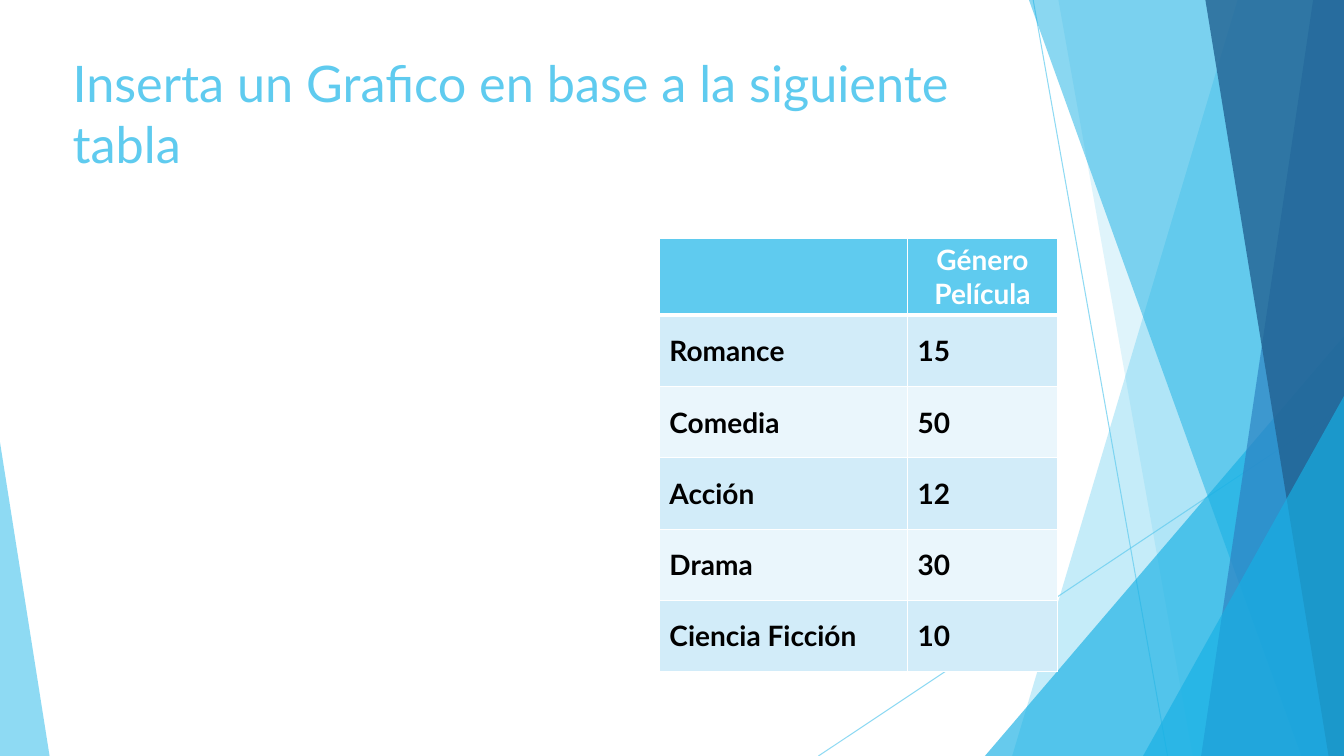
from lxml.etree import SubElement
from pptx import Presentation
from pptx.dml.color import RGBColor
from pptx.enum.shapes import MSO_CONNECTOR, MSO_SHAPE
from pptx.enum.text import MSO_ANCHOR, PP_ALIGN
from pptx.oxml.ns import qn
from pptx.util import Pt

WIDTH, HEIGHT = 960, 540
SKY = RGBColor(0x5F, 0xCB, 0xEF)
CYAN = RGBColor(0x17, 0xB0, 0xE4)
BLUE = RGBColor(0x2E, 0x83, 0xC3)
NAVY = RGBColor(0x22, 0x62, 0x92)
PALE = RGBColor(0xD2, 0xEC, 0xF9)
PALER = RGBColor(0xEA, 0xF6, 0xFC)
WHITE = RGBColor(0xFF, 0xFF, 0xFF)
BLACK = RGBColor(0, 0, 0)
FONT = "Lato"

TITLE = "Inserta un Grafico en base a la siguiente tabla"
ROWS = [
    ("", "Género Película"),
    ("Romance", "15"),
    ("Comedia", "50"),
    ("Acción", "12"),
    ("Drama", "30"),
    ("Ciencia Ficción", "10"),
]


def set_opacity(properties, percent):
    """Apply opacity to the solid colour inside the given XML element."""
    color = next(properties.iter(qn("a:srgbClr")))
    SubElement(color, qn("a:alpha"), val=str(percent * 1000))


def paint(shape, color, opacity):
    shape.shadow.inherit = False
    shape.line.fill.background()
    shape.fill.solid()
    shape.fill.fore_color.rgb = color
    set_opacity(shape.fill._xPr, opacity)


def add_thin_line(slide, start, end):
    connector = slide.shapes.add_connector(
        MSO_CONNECTOR.STRAIGHT, *(Pt(value) for value in start + end))
    connector.line.color.rgb = SKY
    connector.line.width = Pt(0.75)
    properties = connector._element.spPr
    set_opacity(properties, 70)
    SubElement(properties, qn("a:effectLst"))


def add_band(slide, top_left, bottom_left, color, opacity):
    """Fill from a slanted left edge to the right side of the slide."""
    builder = slide.shapes.build_freeform(Pt(top_left), Pt(0))
    builder.add_line_segments([
        (Pt(WIDTH), Pt(0)), (Pt(WIDTH), Pt(HEIGHT)), (Pt(bottom_left), Pt(HEIGHT))])
    paint(builder.convert_to_shape(), color, opacity)


def add_corner(slide, left, top, width, apex, color, opacity):
    """Add a triangle that stands on the bottom edge of the slide."""
    triangle = slide.shapes.add_shape(
        MSO_SHAPE.ISOSCELES_TRIANGLE, Pt(left), Pt(top), Pt(width), Pt(HEIGHT - top))
    triangle.adjustments[0] = apex
    paint(triangle, color, opacity)


def add_background(slide):
    add_thin_line(slide, (738, 0), (834, HEIGHT))
    add_thin_line(slide, (WIDTH, 290), (584.6, HEIGHT))
    add_band(slide, 884, 723, SKY, 36)
    add_band(slide, 756, 852, SKY, 20)
    add_corner(slide, 703.5, 240, WIDTH - 703.5, 1, CYAN, 66)
    add_band(slide, 735, 929.5, CYAN, 50)
    add_band(slide, 938, 858, BLUE, 70)
    add_band(slide, 861, 949, NAVY, 80)
    add_corner(slide, 816.5, 283, WIDTH - 816.5, 1, CYAN, 66)
    add_corner(slide, 0, 316, 35.4, 0, SKY, 70)


def style_text(paragraph, size, color, bold=False):
    paragraph.font.name = FONT
    paragraph.font.size = Pt(size)
    paragraph.font.bold = bold
    paragraph.font.color.rgb = color


def add_title(slide, left, top, width, height):
    box = slide.shapes.add_textbox(Pt(left), Pt(top), Pt(width), Pt(height))
    frame = box.text_frame
    frame.word_wrap = True
    frame.vertical_anchor = MSO_ANCHOR.TOP
    frame.text = TITLE
    style_text(frame.paragraphs[0], 36, SKY)


def add_borders(cell, widths):
    """Draw white borders; widths maps each side (L, R, T, B) to points."""
    properties = cell._tc.get_or_add_tcPr()
    for side, width in widths.items():
        line = SubElement(properties, qn(f"a:ln{side}"), w=str(Pt(width)))
        fill = SubElement(line, qn("a:solidFill"))
        SubElement(fill, qn("a:srgbClr"), val=str(WHITE))


def add_genre_table(slide, left, top, width, height):
    header_height = 55.2
    first_width = 177.2
    table = slide.shapes.add_table(
        len(ROWS), 2, Pt(left), Pt(top), Pt(width), Pt(height)).table
    table.columns[0].width = Pt(first_width)
    table.columns[1].width = Pt(width - first_width)
    for index, row in enumerate(ROWS):
        is_header = index == 0
        body_height = (height - header_height) / (len(ROWS) - 1)
        table.rows[index].height = Pt(header_height if is_header else body_height)
        for column, text in enumerate(row):
            cell = table.cell(index, column)
            add_borders(cell, {"L": 1, "R": 1, "T": 3 if index == 1 else 1,
                               "B": 3 if is_header else 1})
            cell.fill.solid()
            cell.fill.fore_color.rgb = SKY if is_header else (PALER, PALE)[index % 2]
            cell.vertical_anchor = MSO_ANCHOR.MIDDLE
            cell.text = text
            paragraph = cell.text_frame.paragraphs[0]
            paragraph.alignment = PP_ALIGN.CENTER if is_header else PP_ALIGN.LEFT
            style_text(paragraph, 20, WHITE if is_header else BLACK, bold=True)


def main():
    presentation = Presentation()
    presentation.slide_width, presentation.slide_height = Pt(WIDTH), Pt(HEIGHT)
    slide = presentation.slides.add_slide(presentation.slide_layouts[6])
    add_background(slide)
    add_title(slide, 44.8, 34, 677, 104)
    add_genre_table(slide, 471, 170, 284.4, 309.8)
    presentation.save("out.pptx")


if __name__ == "__main__":
    main()
